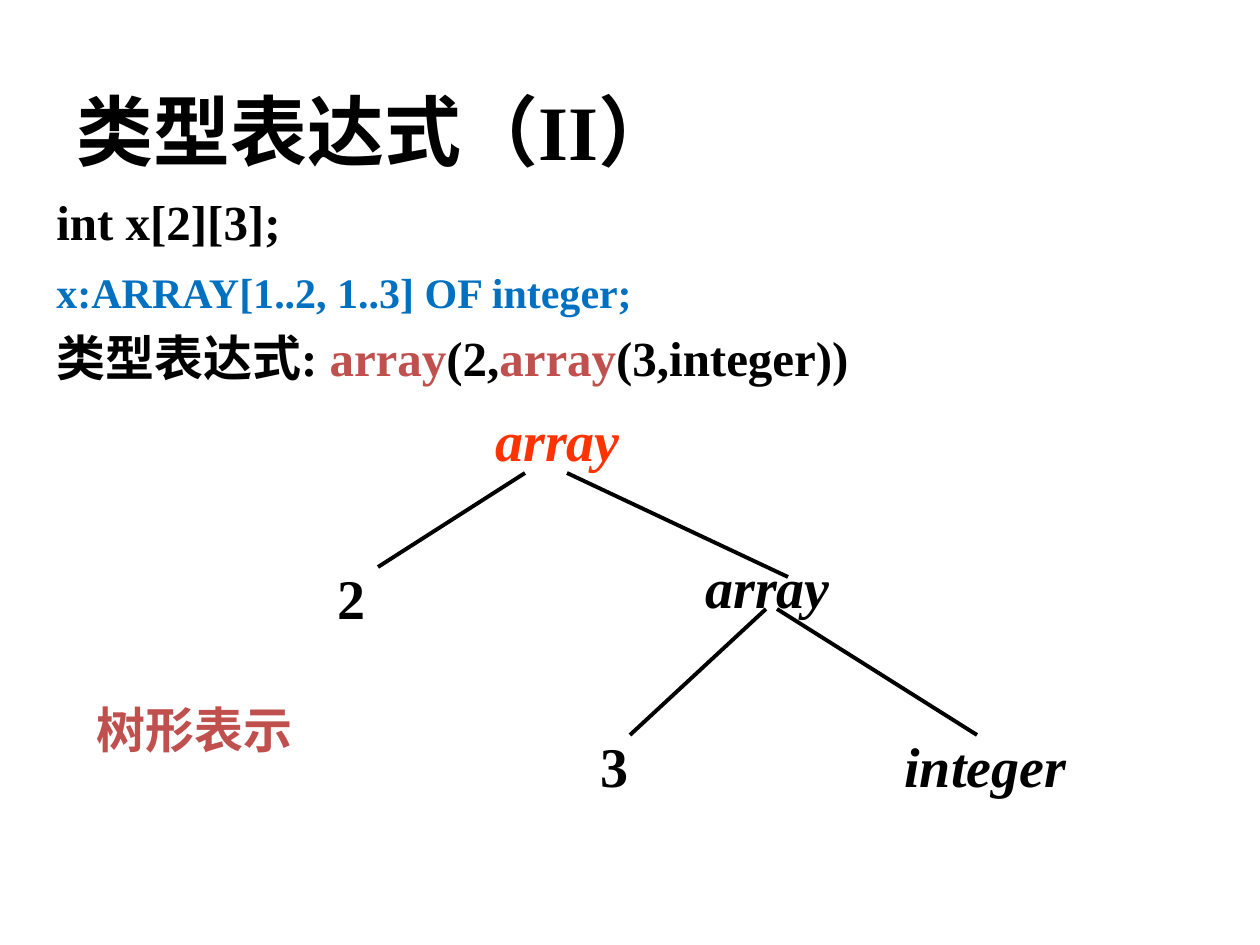
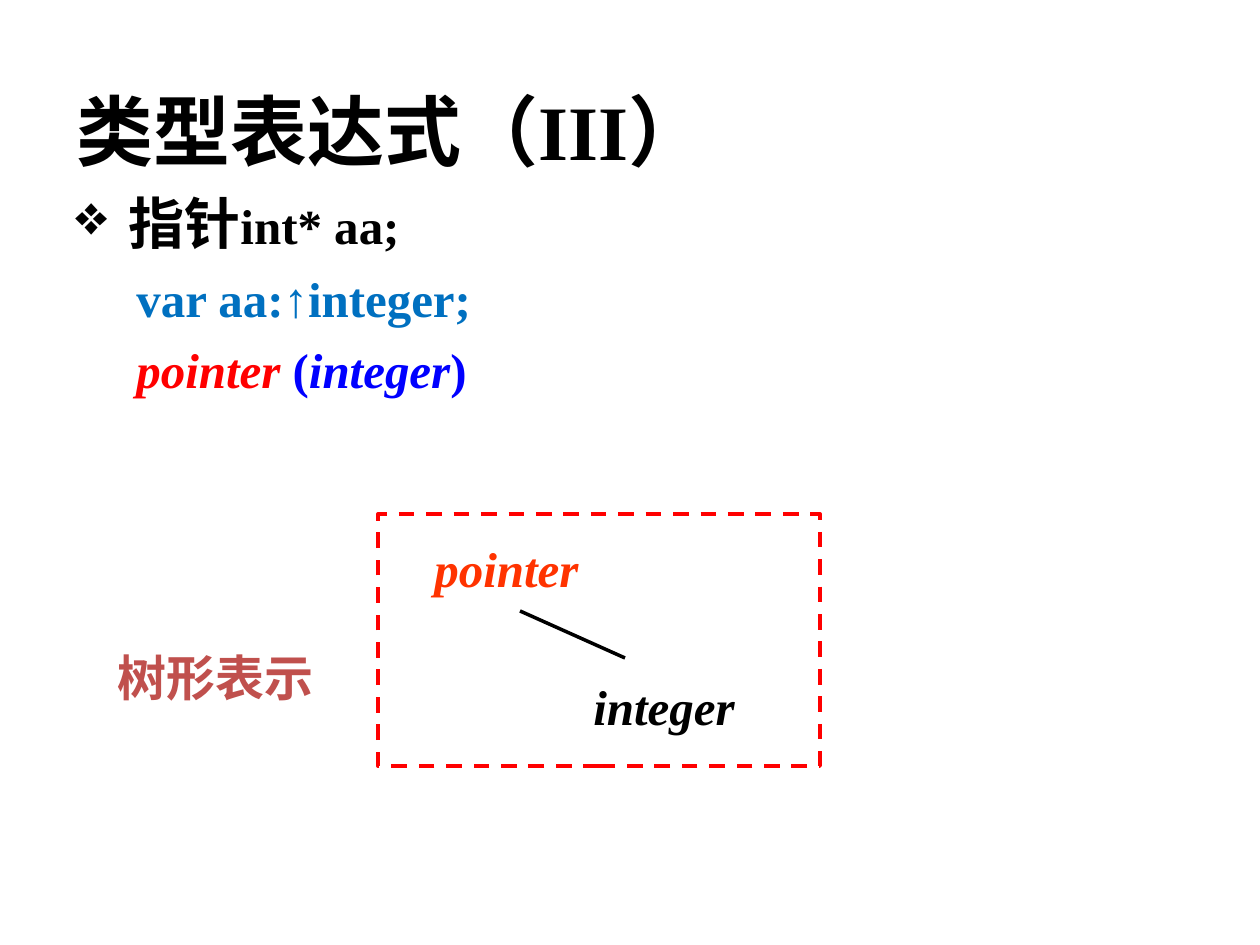
from dataclasses import dataclass
from typing import NamedTuple

from lxml.etree import SubElement
from pptx import Presentation
from pptx.dml.color import RGBColor
from pptx.enum.dml import MSO_LINE
from pptx.enum.shapes import MSO_CONNECTOR, MSO_SHAPE
from pptx.enum.text import MSO_ANCHOR
from pptx.oxml.ns import qn
from pptx.slide import Slide
from pptx.util import Emu, Pt

# Shared style
FONT = "Times New Roman"
BLACK = RGBColor(0x00, 0x00, 0x00)
BLUE = RGBColor(0x00, 0x70, 0xC0)
PURE_BLUE = RGBColor(0x00, 0x00, 0xFF)
BRICK = RGBColor(0xC0, 0x50, 0x4D)
ORANGE = RGBColor(0xFF, 0x33, 0x00)
RED = RGBColor(0xFF, 0x00, 0x00)
EMU_PER_PIXEL = 914400 / 126


class Box(NamedTuple):
    left: int
    top: int
    width: int
    height: int


class Branch(NamedTuple):
    x1: int
    y1: int
    x2: int
    y2: int


@dataclass(frozen=True)
class Piece:
    text: str
    color: RGBColor = BLACK
    size: int = 28
    italic: bool = False


@dataclass(frozen=True)
class Line:
    pieces: tuple[Piece, ...]
    before: float = 0
    spacing: float = 1.0
    margin: int = 0
    bullet: str = ""


@dataclass(frozen=True)
class Node:
    box: Box
    piece: Piece


TITLE_BOX = Box(64, 76, 1134, 107)


def px(length: float) -> Emu:
    return Emu(round(length * EMU_PER_PIXEL))


def add_text(slide: Slide, box: Box, lines: list[Line],
             anchor: MSO_ANCHOR = MSO_ANCHOR.TOP) -> None:
    frame = slide.shapes.add_textbox(*map(px, box)).text_frame
    frame.word_wrap = True
    frame.vertical_anchor = anchor
    for index, line in enumerate(lines):
        paragraph = frame.add_paragraph() if index else frame.paragraphs[0]
        paragraph.space_before = Pt(line.before)
        paragraph.line_spacing = line.spacing
        properties = paragraph._p.get_or_add_pPr()
        properties.set("marL", str(px(line.margin)))
        if line.bullet:
            properties.set("indent", str(-px(line.margin)))
            SubElement(properties, qn("a:buChar")).set("char", line.bullet)
        for piece in line.pieces:
            run = paragraph.add_run()
            run.text = piece.text
            run.font.name = FONT
            run.font.size = Pt(piece.size)
            run.font.bold = True
            run.font.italic = piece.italic
            run.font.color.rgb = piece.color


def add_title(slide: Slide, number: str) -> None:
    heading = Piece(f"类型表达式（{number}）", size=44)
    add_text(slide, TITLE_BOX, [Line((heading,))], MSO_ANCHOR.MIDDLE)


def add_tree(slide: Slide, nodes: list[Node], branches: list[Branch],
             thickness: float) -> None:
    for node in nodes:
        add_text(slide, node.box, [Line((node.piece,))])
    for branch in branches:
        edge = slide.shapes.add_connector(MSO_CONNECTOR.STRAIGHT, *map(px, branch))
        edge.line.color.rgb = BLACK
        edge.line.width = Pt(thickness)
        SubElement(edge._element.spPr, qn("a:effectLst"))


def add_caption(slide: Slide, box: Box) -> None:
    add_text(slide, box, [Line((Piece("树形表示", BRICK),))])


def add_dashed_frame(slide: Slide, box: Box) -> None:
    border = slide.shapes.add_shape(MSO_SHAPE.RECTANGLE, *map(px, box))
    border.shadow.inherit = False
    border.fill.background()
    border.line.color.rgb = RED
    border.line.width = Pt(2.25)
    border.line.dash_style = MSO_LINE.DASH


def build_array_slide(slide: Slide) -> None:
    add_title(slide, "II")
    add_text(slide, Box(44, 185, 1143, 229), [
        Line((Piece("int x[2][3];"),)),
        Line((Piece("x:ARRAY[1..2, 1..3] OF integer;", BLUE, 24),), before=9.6),
        Line((Piece("类型表达式: "), Piece("array", BRICK), Piece("(2,"),
              Piece("array", BRICK), Piece("(3,integer))")), before=5.6),
    ])
    add_tree(slide, [
        Node(Box(483, 399, 179, 79), Piece("array", ORANGE, 32, True)),
        Node(Box(693, 546, 179, 79), Piece("array", BLACK, 32, True)),
        Node(Box(892, 725, 210, 79), Piece("integer", BLACK, 32, True)),
        Node(Box(325, 557, 105, 79), Piece("2", size=32)),
        Node(Box(588, 725, 105, 79), Piece("3", size=32)),
    ], [
        Branch(378, 567, 525, 473),
        Branch(567, 473, 788, 577),
        Branch(630, 735, 766, 609),
        Branch(777, 609, 977, 735),
    ], thickness=2.25)
    add_caption(slide, Box(84, 693, 315, 72))


def build_pointer_slide(slide: Slide) -> None:
    add_title(slide, "III")
    add_text(slide, Box(63, 195, 1172, 277), [
        Line((Piece("指针", size=32), Piece("int* aa;")),
             spacing=0.8, margin=53, bullet="❖"),
        Line((Piece("var aa:↑integer;", BLUE),),
             before=14, spacing=0.8, margin=61),
        Line((Piece("pointer ", RED, italic=True), Piece("(", PURE_BLUE),
              Piece("integer", PURE_BLUE, italic=True), Piece(")", PURE_BLUE)),
             before=14, spacing=0.8, margin=61),
    ])
    add_tree(slide, [
        Node(Box(581, 670, 172, 72), Piece("integer", italic=True)),
        Node(Box(422, 532, 176, 72), Piece("pointer", ORANGE, italic=True)),
    ], [Branch(520, 611, 625, 658)], thickness=2)
    add_caption(slide, Box(105, 641, 241, 72))
    add_dashed_frame(slide, Box(378, 514, 442, 252))


deck = Presentation()
deck.slide_width, deck.slide_height = px(1260), px(945)
blank = deck.slide_layouts[6]
for build in (build_array_slide, build_pointer_slide):
    build(deck.slides.add_slide(blank))
deck.save("out.pptx")
